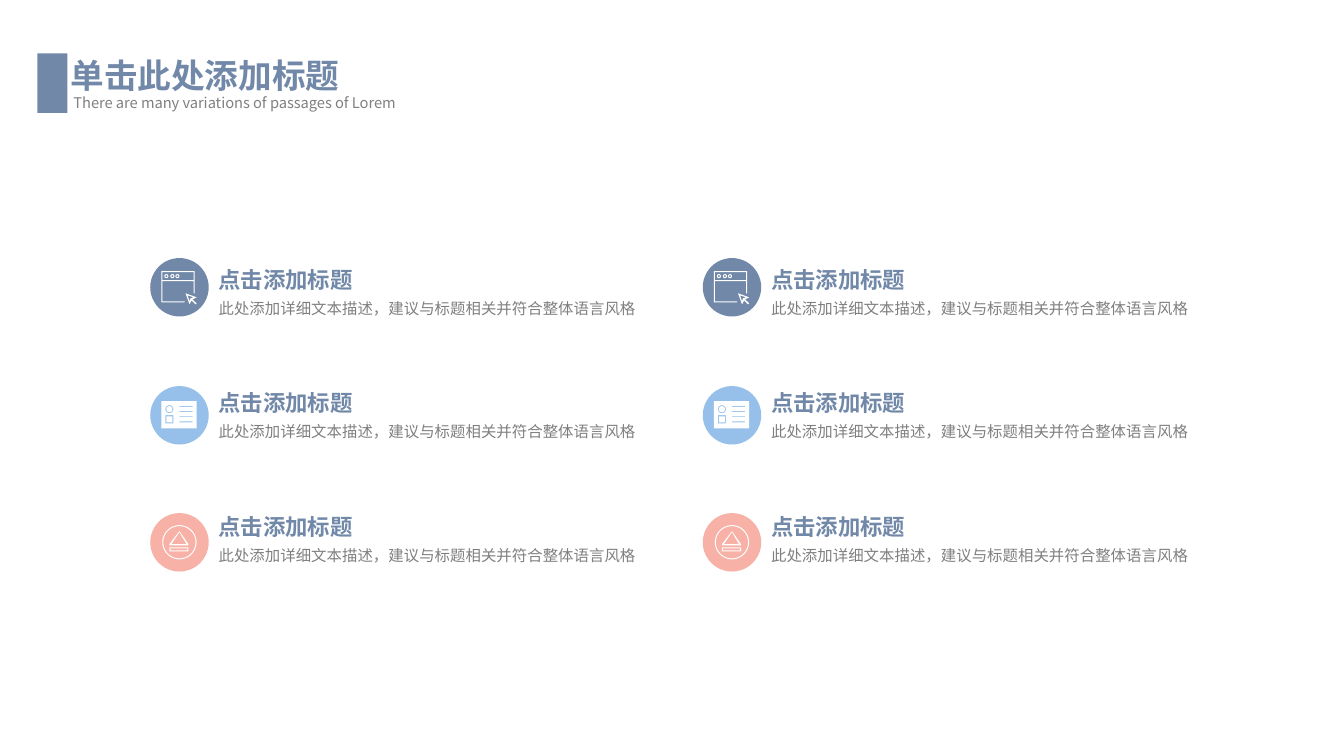
from math import cos, sin, tau
from lxml.etree import SubElement
from pptx import Presentation
from pptx.dml.color import RGBColor
from pptx.enum.shapes import MSO_SHAPE
from pptx.enum.text import MSO_AUTO_SIZE
from pptx.oxml.ns import qn
from pptx.util import Inches, Pt

FONT = "Noto Sans CJK SC"
BLUE, SKY, PINK = "7188A8", "96C0E9", "F7B1A6"
WHITE, GREY, MID = "FFFFFF", "808080", "7F7F7F"
HEAD = "点击添加标题"
BODY = "此处添加详细文本描述，建议与标题相关并符合整体语言风格"
DISC = 0.58


def color(text):
    return RGBColor.from_string(text)


def paint(shape, fill):
    shape.shadow.inherit = False
    shape.fill.solid()
    shape.fill.fore_color.rgb = color(fill)
    shape.line.fill.background()


def add_shape(slide, kind, box, fill):
    paint(slide.shapes.add_shape(kind, *map(Inches, box)), fill)


def add_text(slide, box, text, size, fill, bold=False, wrap=True, lead=None):
    frame = slide.shapes.add_textbox(*map(Inches, box)).text_frame
    frame.word_wrap = wrap
    frame.auto_size = MSO_AUTO_SIZE.SHAPE_TO_FIT_TEXT
    para = frame.paragraphs[0]
    if lead:
        para.line_spacing, para.space_before = lead, Pt(29.5)
    run = para.add_run()
    run.text = text
    font = run.font
    font.name, font.size, font.bold = FONT, Pt(size), bold
    font.color.rgb = color(fill)
    SubElement(font._element, qn("a:ea")).set("typeface", FONT)


# Outlines, in inches from the top left of a disc
def rect(x1, y1, x2, y2):
    return [(x1, y1), (x2, y1), (x2, y2), (x1, y2)]


def ring(x, y, radius, steps=36):
    """Two circles, the inner one a thin line smaller."""
    return [[(x + r * cos(tau * i / steps), y + r * sin(tau * i / steps))
             for i in range(steps)] for r in (radius, radius - 0.01)]


def window():
    frame = [(0.11, 0.13), (0.44, 0.13), (0.44, 0.35), (0.43, 0.35),
             (0.43, 0.23), (0.12, 0.23), (0.12, 0.43), (0.34, 0.43),
             (0.34, 0.44), (0.11, 0.44)]
    arrow = [(0.35, 0.35), (0.46, 0.39), (0.42, 0.41), (0.46, 0.45),
             (0.45, 0.46), (0.41, 0.42), (0.39, 0.46)]
    gap = [(0.37, 0.37), (0.39, 0.43), (0.4, 0.4), (0.43, 0.39)]
    dots = [line for x in (0.16, 0.22, 0.27) for line in ring(x, 0.18, 0.02)]
    return [frame, rect(0.12, 0.14, 0.43, 0.22), arrow, gap, *dots]


def card():
    rows = [rect(0.29, y, 0.42, y + 0.01) for y in (0.2, 0.25, 0.3, 0.35)]
    return [rect(0.11, 0.15, 0.46, 0.42), *rows, *ring(0.19, 0.23, 0.04),
            rect(0.15, 0.29, 0.23, 0.37), rect(0.16, 0.3, 0.22, 0.36)]


def eject():
    peak = [(0.29, 0.18), (0.38, 0.31), (0.38, 0.32), (0.19, 0.32), (0.19, 0.31)]
    gap = [(0.29, 0.19), (0.36, 0.31), (0.21, 0.31)]
    return [*ring(0.29, 0.29, 0.17), peak, gap,
            rect(0.19, 0.34, 0.38, 0.38), rect(0.2, 0.35, 0.37, 0.37)]


def add_icon(slide, left, top, lines):
    pen = None
    for line in lines:
        start, *rest = [(Inches(left + x), Inches(top + y)) for x, y in line]
        if pen is None:
            pen = slide.shapes.build_freeform(*start)
        else:
            pen.move_to(*start)
        pen.add_line_segments(rest, close=True)
    paint(pen.convert_to_shape(), WHITE)


def add_item(slide, left, top, label, fill, lines):
    add_shape(slide, MSO_SHAPE.OVAL, (left, top, DISC, DISC), fill)
    add_icon(slide, left, top, lines)
    side = left + DISC
    add_text(slide, (side, label, 1.55, 0.37), HEAD, 16, BLUE, True, False)
    add_text(slide, (side, label + 0.24, 4.43, 0.35), BODY, 11, MID, lead=1.5)


def main():
    deck = Presentation()
    deck.slide_width, deck.slide_height = Inches(13.33), Inches(7.5)
    slide = deck.slides.add_slide(deck.slide_layouts[6])

    # Title
    add_text(slide, (0.6, 0.5, 2.89, 0.5), "单击此处添加标题", 24, BLUE, True, False)
    add_text(slide, (0.63, 0.88, 4.34, 0.28),
             "There are many variations of passages of Lorem", 10.5, GREY)
    add_shape(slide, MSO_SHAPE.RECTANGLE, (0.37, 0.53, 0.3, 0.59), BLUE)

    # Two columns of three items
    rows = [(2.56, 2.59, BLUE, window()), (3.83, 3.81, SKY, card()),
            (5.09, 5.04, PINK, eject())]
    for left in (1.49, 6.97):
        for row in rows:
            add_item(slide, left, *row)

    deck.save("out.pptx")


if __name__ == "__main__":
    main()
